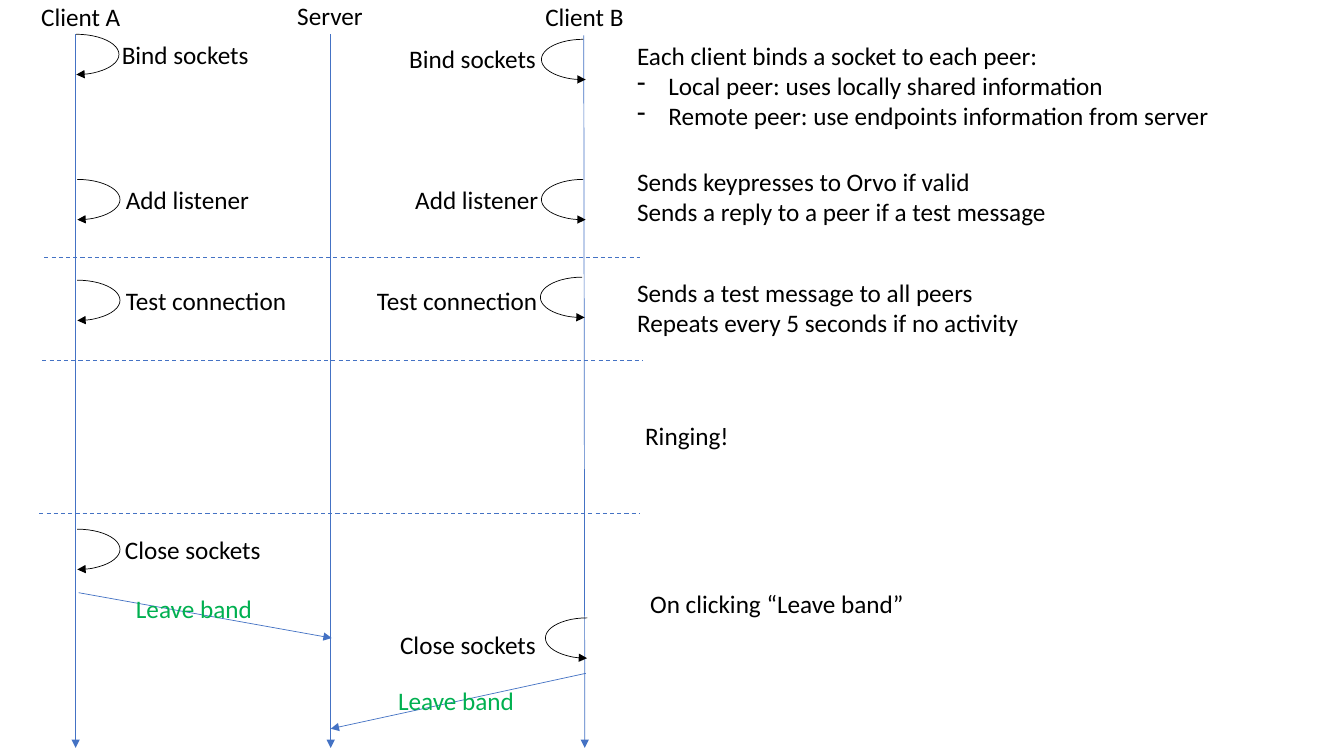
import pptx
import pptx.dml.color
import pptx.enum.dml
import pptx.enum.shapes
import pptx.oxml
import pptx.oxml.ns
import pptx.util

Inches = pptx.util.Inches
BLUE, GREEN, BLACK = "4472C4", "00B050", "000000"

presentation = pptx.Presentation()
presentation.slide_width = Inches(13.33)
presentation.slide_height = Inches(7.5)
slide = presentation.slides.add_slide(presentation.slide_layouts[6])


def style_line(shape, color, width, arrow=True):
    """Set line colour and width; end with an arrowhead, or dash the line."""
    shape.line.color.rgb = pptx.dml.color.RGBColor.from_string(color)
    shape.line.width = pptx.util.Pt(width)
    if arrow:
        arrowhead = pptx.oxml.parse_xml(
            f'<a:tailEnd {pptx.oxml.ns.nsdecls("a")} type="triangle"/>')
        shape.line._get_or_add_ln().append(arrowhead)
    else:
        shape.line.dash_style = pptx.enum.dml.MSO_LINE.DASH


def add_text(left, top, width, height, lines, color=BLACK, wrap=False):
    """Add 18 pt text, one paragraph per line, and return its text frame."""
    box = slide.shapes.add_textbox(
        Inches(left), Inches(top), Inches(width), Inches(height))
    text_frame = box.text_frame
    text_frame.word_wrap = wrap
    text_frame.text = "\n".join(lines)
    for paragraph in text_frame.paragraphs:
        font = paragraph.runs[0].font
        font.name = "Calibri"
        font.size = pptx.util.Pt(18)
        font.color.rgb = pptx.dml.color.RGBColor.from_string(color)
    return text_frame


# Lifelines, leave messages and phase dividers: start, end, width, arrow
lines = [
    (0.75, 0.34, 0.75, 7.42, 0.5, True),
    (3.28, 0.34, 3.28, 7.42, 0.5, True),
    (5.79, 0.35, 5.8, 7.42, 0.5, True),
    (0.78, 5.88, 3.29, 6.33, 0.5, True),
    (5.81, 6.68, 3.28, 7.23, 0.5, True),
    (0.44, 2.55, 6.35, 2.55, 0.75, False),
    (0.42, 3.58, 6.38, 3.58, 0.75, False),
    (0.39, 5.09, 6.35, 5.09, 0.75, False),
]
for start_x, start_y, end_x, end_y, width, arrow in lines:
    connector = slide.shapes.add_connector(
        pptx.enum.shapes.MSO_CONNECTOR.STRAIGHT,
        Inches(start_x), Inches(start_y), Inches(end_x), Inches(end_y))
    style_line(connector, BLUE, width, arrow)
    connector._element.spPr.append(pptx.oxml.parse_xml(
        f'<a:effectLst {pptx.oxml.ns.nsdecls("a")}/>'))

# Self-calls of client A (left) and client B (mirrored): arc left, arc top, end angle
client_a_arcs = [(0.33, 0.34), (0.34, 1.78), (0.34, 2.78), (0.34, 5.25)]
client_b_arcs = [(5.37, 0.39, 58.1), (5.37, 1.78, 58.1),
                 (5.36, 2.75, 58.1), (5.41, 6.13, 53.65)]
arcs = [(left, top, 0.85, 53.65, False) for left, top in client_a_arcs]
arcs += [(left, top, 0.83, end, True) for left, top, end in client_b_arcs]
for left, top, width, end_angle, mirrored in arcs:
    arc = slide.shapes.add_shape(
        pptx.enum.shapes.MSO_SHAPE.ARC,
        Inches(left), Inches(top), Inches(width), Inches(0.4))
    arc.adjustments[0] = 162
    arc.adjustments[1] = end_angle
    arc.shadow.inherit = False
    arc.fill.background()
    style_line(arc, BLACK, 0.5)
    if mirrored:
        arc._element.spPr.xfrm.set("flipH", "1")

# Participants, call labels and messages
labels = [
    ("Client A", 0.31, -0.04, 1, BLACK),
    ("Server", 2.85, -0.05, 0.86, BLACK),
    ("Client B", 5.31, -0.04, 1, BLACK),
    ("Bind sockets", 1.11, 0.34, 1.47, BLACK),
    ("Bind sockets", 3.96, 0.38, 1.47, BLACK),
    ("Add listener", 1.15, 1.78, 1.44, BLACK),
    ("Add listener", 4.02, 1.78, 1.44, BLACK),
    ("Test connection", 1.15, 2.78, 1.81, BLACK),
    ("Test connection", 3.64, 2.78, 1.81, BLACK),
    ("Close sockets", 1.14, 5.25, 1.56, BLACK),
    ("Close sockets", 3.87, 6.19, 1.56, BLACK),
    ("Leave band", 1.25, 5.84, 1.37, GREEN),
    ("Leave band", 3.85, 6.75, 1.37, GREEN),
]
for label, left, top, width, color in labels:
    add_text(left, top, width, 0.4, [label], color)

# Explanations on the right
binding = add_text(6.22, 0.35, 6.28, 1.01, [
    "Each client binds a socket to each peer:",
    "Local peer: uses locally shared information",
    "Remote peer: use endpoints information from server"], wrap=True)
for paragraph in binding.paragraphs[1:]:
    properties = paragraph._p.get_or_add_pPr()
    properties.set("marL", str(Inches(0.31)))
    properties.set("indent", str(Inches(-0.31)))
    properties.append(pptx.oxml.parse_xml(
        f'<a:buChar {pptx.oxml.ns.nsdecls("a")} char="-"/>'))

explanations = [
    (6.22, 1.6, 6.01, 0.71, ["Sends keypresses to Orvo if valid",
                             "Sends a reply to a peer if a test message"]),
    (6.22, 2.7, 6.01, 0.71, ["Sends a test message to all peers",
                             "Repeats every 5 seconds if no activity"]),
    (6.3, 4.12, 3.83, 0.4, ["Ringing!"]),
    (6.35, 5.79, 3.83, 0.4, ["On clicking “Leave band”"]),
]
for left, top, width, height, sentences in explanations:
    add_text(left, top, width, height, sentences, wrap=True)

presentation.save("out.pptx")
